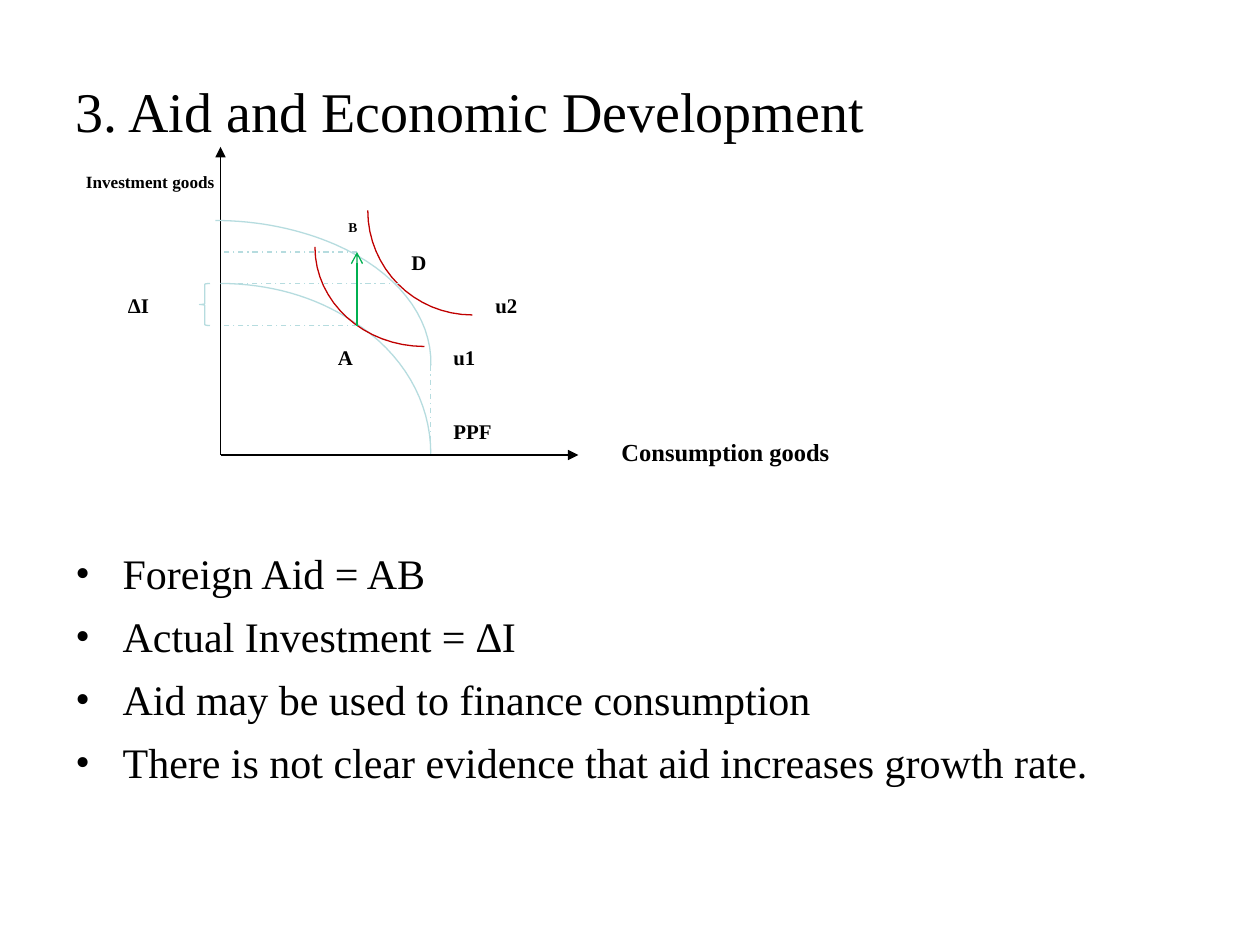
from pptx import Presentation
from pptx import util as u
from pptx.dml import color
from pptx.enum import dml, shapes, text
from pptx.oxml import ns, xmlchemy as xml

BLACK = color.RGBColor(0x00, 0x00, 0x00)
PALE = color.RGBColor(0xB6, 0xDC, 0xDF)
RED = color.RGBColor(0xC0, 0x00, 0x00)
GREEN = color.RGBColor(0x00, 0xB0, 0x50)

LABELS = [
    ("Investment goods", 42, 90, 91, 23, 9.8, 0.8),
    ("ΔI", 66, 162, 91, 23, 11.9, 0.9),
    ("B", 192, 120, 24, 18, 7.7, 0.8),
    ("A", 186, 192, 91, 23, 11.9, 0.9),
    ("u2", 276, 162, 91, 23, 11.9, 0.9),
    ("u1", 252, 192, 91, 23, 11.9, 0.9),
    ("PPF", 252, 234, 91, 23, 11.9, 0.9),
    ("Consumption goods", 348, 234, 162, 36, 14, 1.0),
    ("D", 228, 138, 91, 23, 11.9, 0.9),
]
CURVES = [
    (PALE, [(126, 162), (153.4, 162), (180, 169.2), (201.6, 183.6),
            (230.4, 201.6), (246.2, 229.7), (246.2, 259.2)]),
    (PALE, [(123.1, 126), (147.6, 126), (171.4, 131), (191.5, 139.7),
            (226.1, 154.8), (247, 180.7), (246.2, 208.8)]),
    (RED, [(242.6, 198), (208.1, 198), (180, 172.8), (180, 141.1)]),
    (RED, [(270, 180), (236.9, 180), (210.2, 153.4), (210.2, 120.2)]),
]
GUIDES = [
    (204, 186.2, 126, 186.2),
    (228, 162, 126, 162),
    (204, 144, 126, 144),
    (246.2, 208.8, 246.2, 259.2),
]
POINTS = [
    "Foreign Aid = AB",
    "Actual Investment = ∆I",
    "Aid may be used to finance consumption",
    "There is not clear evidence that aid increases growth rate.",
]


class Pen:
    """Draws styled elements on the current slide."""

    font = "Times New Roman"
    width = 0.75
    steps = 16

    def __init__(self, slide):
        self.slide = slide

    def style(self, para, size, bold=False):
        for run in para.runs:
            run.font.name = self.font
            run.font.size = u.Pt(size)
            run.font.bold = bold
            run.font.color.rgb = BLACK

    def frame(self, left, top, width, height):
        box = self.slide.shapes.add_textbox(
            u.Pt(left), u.Pt(top), u.Pt(width), u.Pt(height))
        box.text_frame.word_wrap = True
        return box.text_frame

    def label(self, words, left, top, width, height, size, space):
        frame = self.frame(left, top, width, height)
        frame.vertical_anchor = text.MSO_ANCHOR.BOTTOM
        frame.text = words
        frame.paragraphs[0].line_spacing = space
        self.style(frame.paragraphs[0], size, True)

    def title(self, words, left, top, width, height):
        frame = self.frame(left, top, width, height)
        frame.margin_top = frame.margin_bottom = 0
        frame.text = words
        self.style(frame.paragraphs[0], 32)

    def list(self, items, left, top, width, height):
        frame = self.frame(left, top, width, height)
        frame.margin_top = frame.margin_bottom = 0
        frame.text = "\n".join(items)
        for row, para in enumerate(frame.paragraphs):
            props = para._p.get_or_add_pPr()
            props.set("marL", str(u.Pt(27)))
            props.set("indent", str(-u.Pt(27)))
            para.space_before = u.Pt(7.2 if row else 0)
            for tag, key, value in (("a:buFont", "typeface", self.font),
                                    ("a:buChar", "char", "•")):
                mark = xml.OxmlElement(tag)
                mark.set(key, value)
                props.append(mark)
            self.style(para, 24)

    def stroke(self, shape, hue):
        shape.line.color.rgb = hue
        shape.line.width = u.Pt(self.width)

    def link(self, ends, hue, head=None, dash=None):
        link = self.slide.shapes.add_connector(
            shapes.MSO_CONNECTOR.STRAIGHT, *map(u.Pt, ends))
        self.stroke(link, hue)
        if dash:
            link.line.dash_style = dash
        props = link._element.spPr
        if head:
            tip = xml.OxmlElement("a:tailEnd")
            tip.set("type", head)
            props.find(ns.qn("a:ln")).append(tip)
        props.append(xml.OxmlElement("a:effectLst"))

    def curve(self, hue, nodes):
        track = []
        for first in range(0, len(nodes) - 1, 3):
            part = nodes[first:first + 4]
            for step in range(1, self.steps + 1):
                t = step / self.steps
                mix = ((1 - t) ** 3, 3 * t * (1 - t) ** 2,
                       3 * t * t * (1 - t), t ** 3)
                track.append(tuple(
                    u.Pt(sum(m * node[axis] for m, node in zip(mix, part)))
                    for axis in (0, 1)))
        start = [u.Pt(n) for n in nodes[0]]
        build = self.slide.shapes.build_freeform(*start)
        build.add_line_segments(track, close=False)
        self.plain(build.convert_to_shape(), hue)

    def brace(self, hue, *place):
        self.plain(self.slide.shapes.add_shape(
            shapes.MSO_SHAPE.LEFT_BRACE, *map(u.Pt, place)), hue)

    def plain(self, shape, hue):
        shape.shadow.inherit = False
        shape.fill.background()
        self.stroke(shape, hue)


def main():
    deck = Presentation()
    deck.slide_width, deck.slide_height = u.Pt(720), u.Pt(540)
    pen = Pen(deck.slides.add_slide(deck.slide_layouts[6]))
    pen.title("3. Aid and Economic Development", 36, 43.5, 648, 38)
    pen.list(POINTS, 36, 313, 648, 140)
    for ends in ((126, 260, 330.5, 260), (126, 260, 126, 84)):
        pen.link(ends, BLACK, "triangle")
    for hue, nodes in CURVES:
        pen.curve(hue, nodes)
    for ends in GUIDES:
        pen.link(ends, PALE, dash=dml.MSO_LINE.DASH_DOT)
    pen.link((204, 186.2, 204, 144), GREEN, "arrow")
    pen.brace(PALE, 114, 162, 6, 24)
    for label in LABELS:
        pen.label(*label)
    deck.save("out.pptx")


if __name__ == "__main__":
    main()
